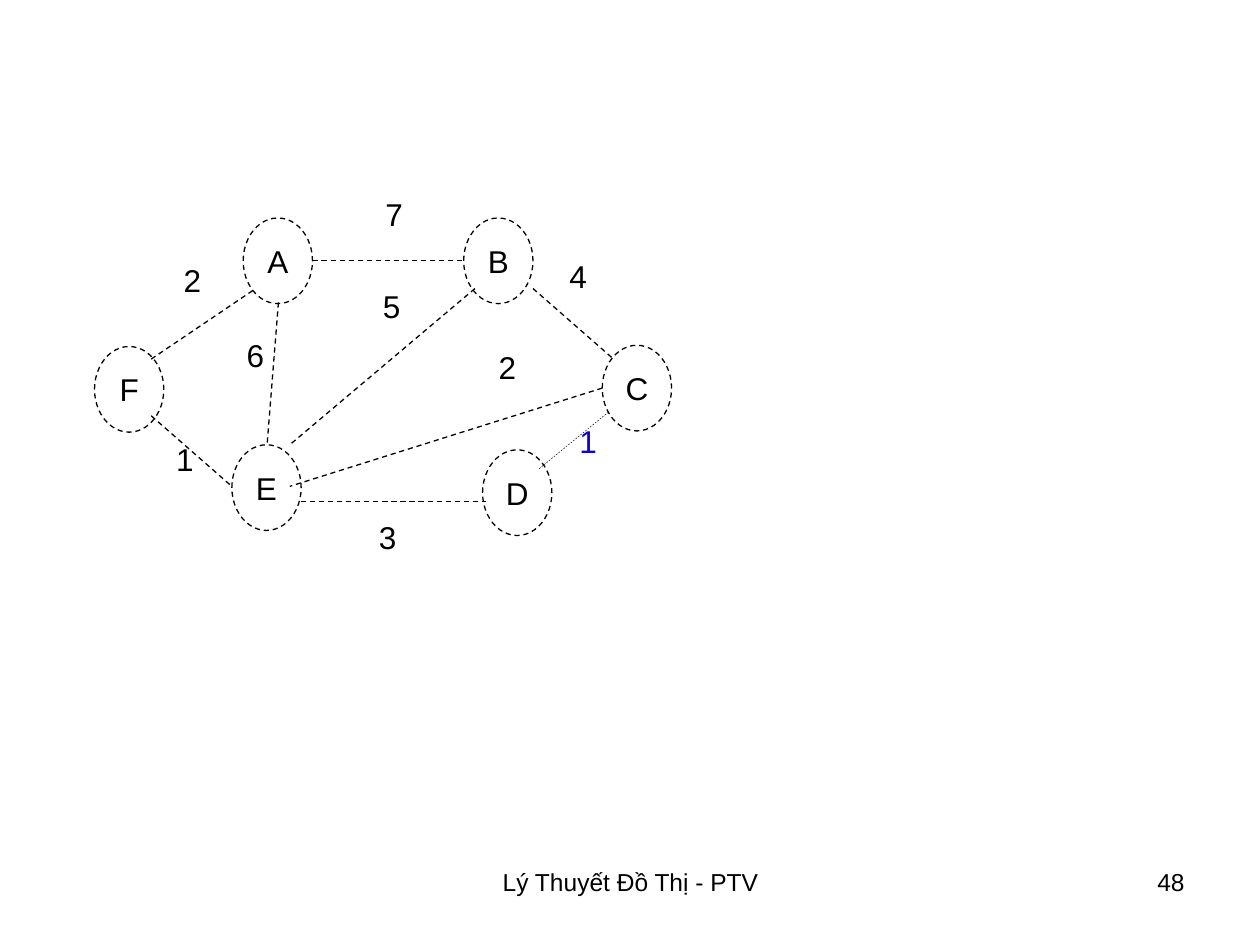
from pptx import Presentation
from pptx.dml.color import RGBColor
from pptx.enum.dml import MSO_LINE
from pptx.enum.shapes import MSO_CONNECTOR, MSO_SHAPE
from pptx.enum.text import MSO_ANCHOR, MSO_AUTO_SIZE, PP_ALIGN
from pptx.oxml.ns import qn
from pptx.util import Inches, Pt
from lxml import etree

DASH = MSO_LINE.DASH
STRAIGHT = MSO_CONNECTOR.STRAIGHT
ELLIPSE = MSO_SHAPE.OVAL
MIDDLE = MSO_ANCHOR.MIDDLE
FIT_SHAPE = MSO_AUTO_SIZE.SHAPE_TO_FIT_TEXT
LEFT, CENTER, RIGHT = PP_ALIGN.LEFT, PP_ALIGN.CENTER, PP_ALIGN.RIGHT

COLORS = {"ink": "000000", "highlight": "0D04C8"}
NODE_WIDTH, NODE_HEIGHT = 0.55, 0.68
LABEL_WIDTH, LABEL_HEIGHT = 0.34, 0.4
FOOTER_TOP, FOOTER_HEIGHT = 6.83, 0.52


def write(shape, text, size, align, color="ink", wrap=False):
    shape.text_frame.word_wrap = wrap
    para = shape.text_frame.paragraphs[0]
    para.alignment = align
    span = para.add_run()
    span.text = text
    for name, value in {"name": "Arial", "size": Pt(size)}.items():
        setattr(span.font, name, value)
    span.font.color.rgb = RGBColor.from_string(COLORS[color])


def dash_line(line, width):
    line.color.rgb = RGBColor.from_string(COLORS["ink"])
    for name, value in {"width": Pt(width), "dash_style": DASH}.items():
        setattr(line, name, value)


deck = Presentation()
deck.slide_width, deck.slide_height = Inches(10), Inches(7.5)
page = deck.slides.add_slide(deck.slide_layouts[6])

# Graph nodes: left, top
nodes = {
    "A": (1.93, 1.73),
    "B": (3.68, 1.73),
    "C": (4.78, 2.74),
    "D": (3.83, 3.57),
    "E": (1.84, 3.53),
    "F": (0.75, 2.75),
}
for name, (left, top) in nodes.items():
    node = page.shapes.add_shape(ELLIPSE, Inches(left), Inches(top),
                                 Inches(NODE_WIDTH), Inches(NODE_HEIGHT))
    node.shadow.inherit = False
    node.fill.background()
    dash_line(node.line, 0.75)
    node.text_frame.vertical_anchor = MIDDLE
    write(node, name, 18, CENTER)

# Graph edges: start, end, line width, weight, weight position, weight colour
edges = [
    ((2.48, 2.07), (3.68, 2.07), 0.75, "7", (2.96, 1.5), "ink"),          # A-B
    ((4.23, 2.29), (4.87, 2.85), 0.75, "4", (4.42, 1.99), "ink"),         # B-C
    ((1.2, 2.85), (2.03, 2.29), 0.75, "2", (1.36, 2.02), "ink"),          # F-A
    ((1.2, 3.3), (1.84, 3.86), 0.75, "1", (1.3, 3.44), "ink"),            # F-E
    ((2.39, 3.98), (3.86, 3.98), 0.75, "3", (2.91, 4.06), "ink"),         # E-D
    ((2.21, 2.4), (2.12, 3.53), 0.75, "6", (1.86, 2.62), "ink"),          # A-E
    ((3.77, 2.29), (2.3, 3.53), 0.75, "5", (2.94, 2.23), "ink"),          # B-E
    ((4.78, 3.08), (2.3, 3.86), 0.75, "2", (3.86, 2.71), "ink"),          # C-E
    ((4.28, 3.72), (4.83, 3.27), 0.25, "1", (4.5, 3.3), "highlight"),     # D-C
]
for start, end, width, weight, (left, top), color in edges:
    edge = page.shapes.add_connector(STRAIGHT, *map(Inches, start + end))
    dash_line(edge.line, width)
    etree.SubElement(edge._element.spPr, qn("a:effectLst"))
    box = page.shapes.add_textbox(Inches(left), Inches(top),
                                  Inches(LABEL_WIDTH), Inches(LABEL_HEIGHT))
    box.text_frame.auto_size = FIT_SHAPE
    write(box, weight, 18, LEFT, color)

# Footer and page number
footers = [
    ("Lý Thuyết Đồ Thị - PTV", 3.42, 3.17, CENTER),
    ("48", 7.17, 2.33, RIGHT),
]
for text, left, width, align in footers:
    box = page.shapes.add_textbox(Inches(left), Inches(FOOTER_TOP),
                                  Inches(width), Inches(FOOTER_HEIGHT))
    write(box, text, 14, align, wrap=True)

deck.save("out.pptx")
